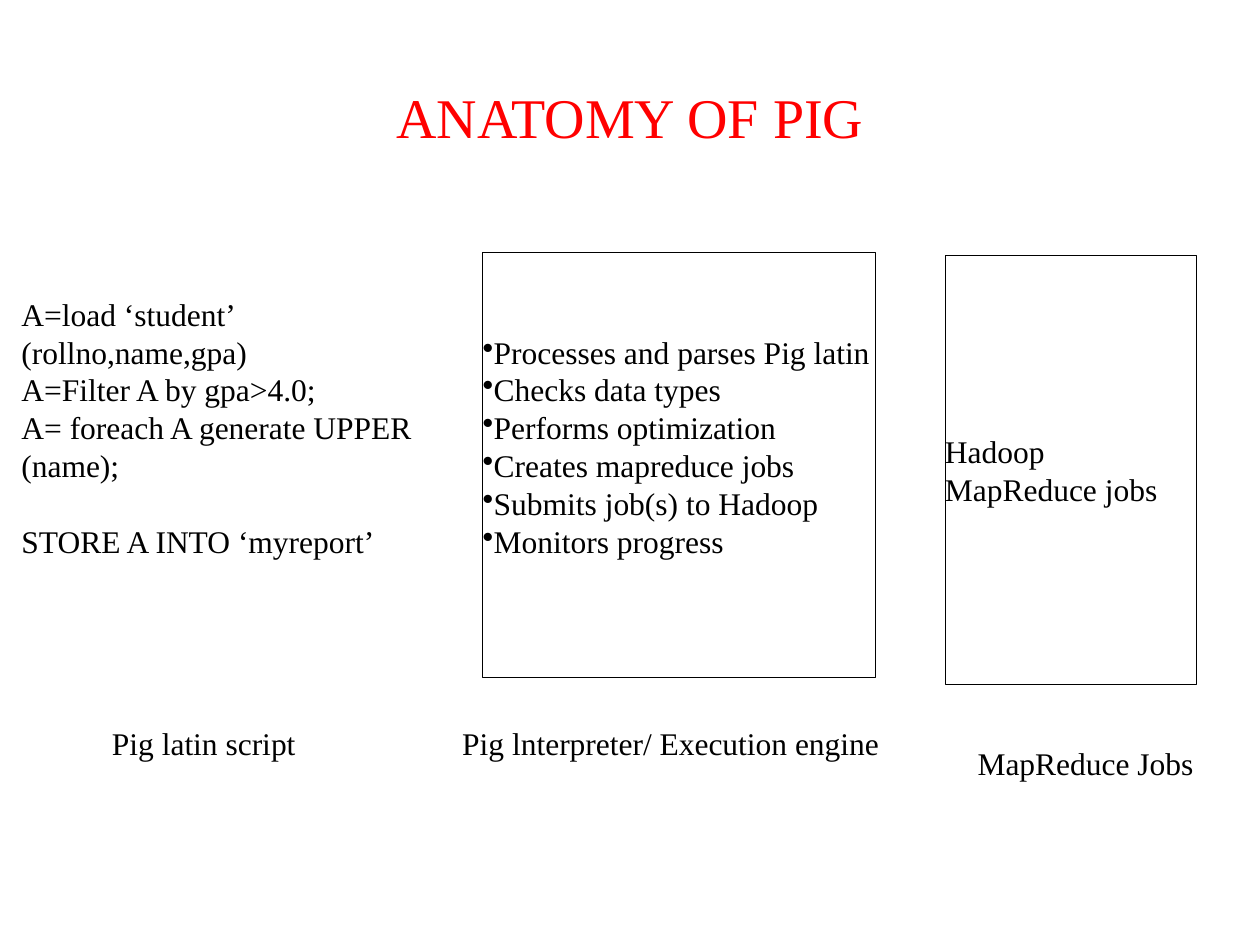
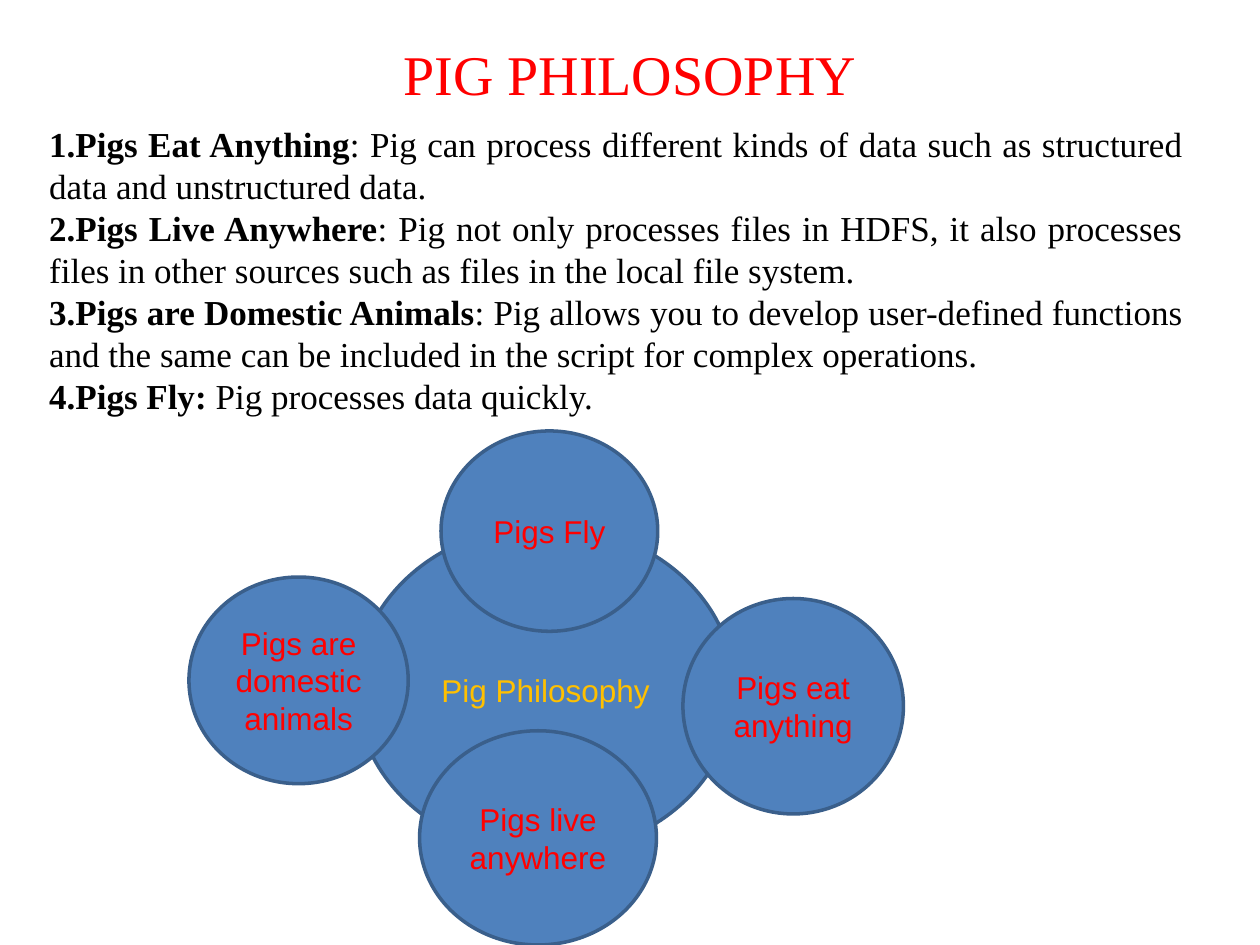
from lxml import etree
from pptx import Presentation
from pptx import util as u
from pptx.dml.color import RGBColor
from pptx.enum import shapes, text
from pptx.oxml import ns

BLACK = RGBColor(0x00, 0x00, 0x00)
RED = RGBColor(0xFF, 0x00, 0x00)
GOLD = RGBColor(0xFF, 0xC0, 0x00)
BLUE = RGBColor(0x4F, 0x81, 0xBD)
DARK_BLUE = RGBColor(0x3A, 0x5F, 0x8B)
SERIF = "Times New Roman"
SANS = "Arial"
LEFT, CENTER = text.PP_ALIGN.LEFT, text.PP_ALIGN.CENTER

SCRIPT_LINES = [
    "A=load ‘student’ (rollno,name,gpa)",
    "A=Filter A by gpa>4.0;",
    "A= foreach A generate UPPER (name);",
    "STORE A INTO ‘myreport’",
]
ENGINE_STEPS = [
    "Processes and parses Pig latin",
    "Checks data types",
    "Performs optimization",
    "Creates mapreduce jobs",
    "Submits job(s) to Hadoop",
    "Monitors progress",
]
PRINCIPLES = [
    ("Pigs Eat Anything", ": Pig can process different kinds of data such as "
     "structured data and unstructured data."),
    ("Pigs Live Anywhere", ": Pig not only processes files in HDFS, it also "
     "processes files in other sources such as files in the local file system."),
    ("Pigs are Domestic Animals", ": Pig allows you to develop user-defined functions "
     "and the same can be included in the script for complex operations."),
    ("Pigs Fly: ", "Pig processes data quickly."),
]
CIRCLES = [
    ("Pig Philosophy", (2.83, 4.17, 3, 2.61), GOLD),
    ("Pigs are domestic animals", (1.5, 4.58, 1.74, 1.64), RED),
    ("Pigs live anywhere", (3.33, 5.8, 1.88, 1.7), RED),
    ("Pigs Fly", (3.5, 3.42, 1.72, 1.59), RED),
    ("Pigs eat anything", (5.42, 4.75, 1.75, 1.71), RED),
]


def inches(box):
    return [u.Inches(value) for value in box]


def place(shape, box):
    shape.left, shape.top, shape.width, shape.height = inches(box)


def format_text(shape, size, font=SERIF, color=BLACK, align=LEFT):
    for paragraph in shape.text_frame.paragraphs:
        paragraph.alignment = align
        paragraph.space_before = u.Pt(0)
        for run in paragraph.runs:
            run.font.size = u.Pt(size)
            run.font.name = font
            run.font.color.rgb = color


def set_frame(shape, bottom=0):
    frame = shape.text_frame
    frame.margin_left = frame.margin_right = frame.margin_top = 0
    frame.margin_bottom = u.Inches(bottom)
    frame.vertical_anchor = text.MSO_ANCHOR.MIDDLE
    frame.auto_size = text.MSO_AUTO_SIZE.NONE
    frame.word_wrap = True


def set_bullets(shape, tag, **attributes):
    for paragraph in shape.text_frame.paragraphs:
        properties = paragraph._p.get_or_add_pPr()
        properties.set("marL", "0")
        properties.set("indent", "0")
        etree.SubElement(properties, ns.qn(tag), attributes)


def add_content_slide(presentation, title, title_box, body_box):
    slide = presentation.slides.add_slide(presentation.slide_layouts[1])
    heading, body = slide.shapes.title, slide.placeholders[1]
    heading.text_frame.text = title
    place(heading, title_box)
    set_frame(heading)
    format_text(heading, 32, color=RED, align=CENTER)
    place(body, body_box)
    return slide, body


def add_caption(slide, caption, box, wrap=False):
    shape = slide.shapes.add_textbox(*inches(box))
    shape.text_frame.text = caption
    shape.text_frame.word_wrap = wrap
    format_text(shape, 18)


def add_outlined_box(slide, content, box, bottom=0):
    shape = slide.shapes.add_shape(shapes.MSO_SHAPE.RECTANGLE, *inches(box))
    shape.shadow.inherit = False
    shape.fill.background()
    shape.line.color.rgb = BLACK
    shape.line.width = u.Pt(0.5)
    shape.text_frame.text = content
    set_frame(shape, bottom)
    format_text(shape, 18)
    return shape


def add_circle(slide, label, box, color):
    shape = slide.shapes.add_shape(shapes.MSO_SHAPE.OVAL, *inches(box))
    shape.shadow.inherit = False
    shape.fill.solid()
    shape.fill.fore_color.rgb = BLUE
    shape.line.color.rgb = DARK_BLUE
    shape.line.width = u.Pt(2)
    shape.text_frame.text = label
    shape.text_frame.vertical_anchor = text.MSO_ANCHOR.MIDDLE
    format_text(shape, 18, SANS, color, CENTER)


def build_anatomy(presentation):
    slide, script = add_content_slide(
        presentation, "ANATOMY OF PIG", (0.5, 0.3, 9, 1.25), (0.17, 1.92, 3.33, 3.24))
    script.text_frame.text = "\n".join(SCRIPT_LINES)
    set_frame(script, bottom=0.3)
    format_text(script, 18)
    set_bullets(script, "a:buNone")
    script.text_frame.paragraphs[-1].space_before = u.Pt(21.6)

    engine = add_outlined_box(
        slide, "\n".join(ENGINE_STEPS), (3.83, 2, 3.12, 3.38), bottom=0.3)
    set_bullets(engine, "a:buChar", char="•")
    add_outlined_box(slide, "Hadoop MapReduce jobs", (7.5, 2.03, 2, 3.4))

    add_caption(slide, "Pig latin script", (0.79, 5.7, 1.75, 0.4))
    add_caption(slide, "Pig lnterpreter/ Execution engine", (3.57, 5.7, 3.82, 0.4))
    add_caption(slide, "MapReduce Jobs", (7.66, 5.86, 2.11, 0.7), wrap=True)


def build_philosophy(presentation):
    slide, body = add_content_slide(
        presentation, "PIG PHILOSOPHY", (0.5, 0.3, 9, 0.56), (0.39, 0.94, 9, 2.39))
    frame = body.text_frame
    for index, (name, explanation) in enumerate(PRINCIPLES):
        paragraph = frame.add_paragraph() if index else frame.paragraphs[0]
        for part, bold in ((name, True), (explanation, False)):
            run = paragraph.add_run()
            run.text = part
            run.font.bold = bold
    set_frame(body)
    format_text(body, 20, align=text.PP_ALIGN.JUSTIFY)
    set_bullets(body, "a:buAutoNum", type="arabicPeriod")

    for label, box, color in CIRCLES:
        add_circle(slide, label, box, color)


def main():
    presentation = Presentation()
    presentation.slide_width = u.Inches(10)
    presentation.slide_height = u.Inches(7.5)
    build_anatomy(presentation)
    build_philosophy(presentation)
    presentation.save("out.pptx")


if __name__ == "__main__":
    main()
